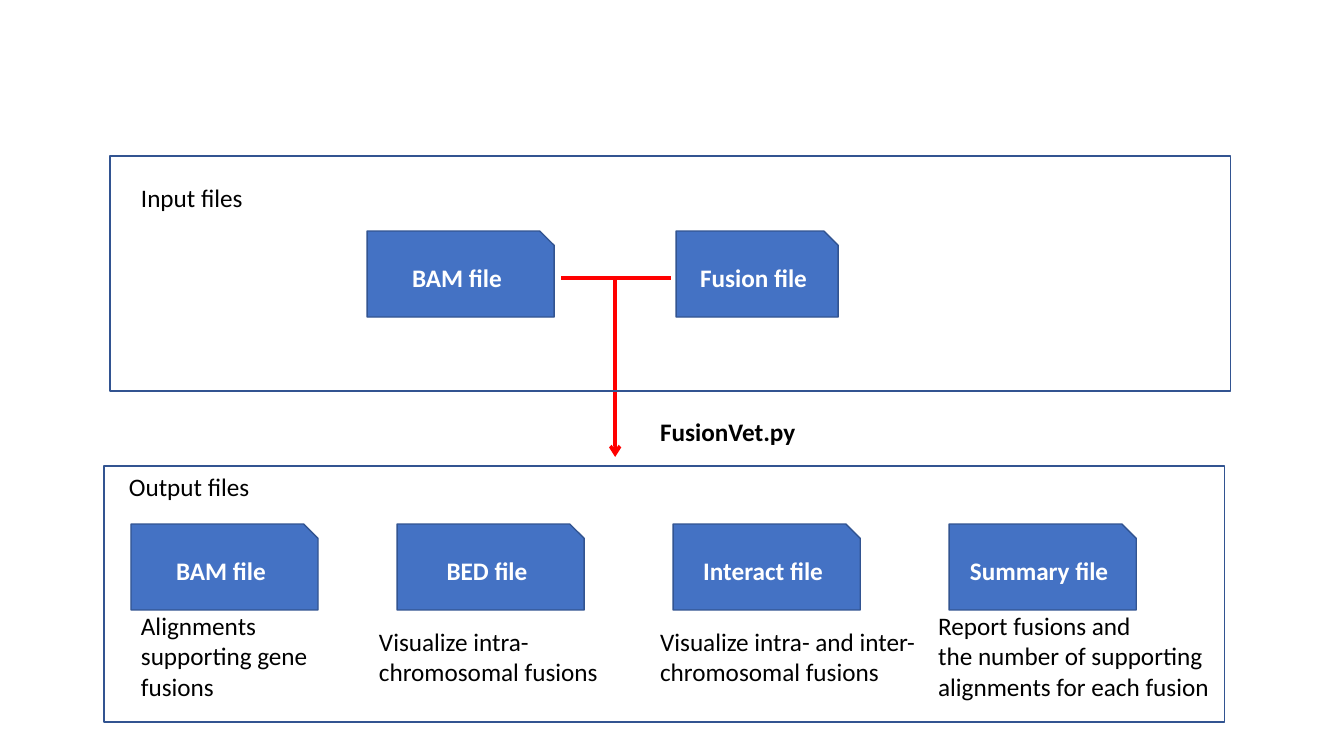
from lxml import etree
from pptx import Presentation
from pptx import util as u
from pptx.dml.color import RGBColor
from pptx.enum import shapes, text
from pptx.oxml.ns import qn

COLORS = {"file": "4472C4", "edge": "325491", "flow": "FF0000",
          "light": "FFFFFF", "dark": "000000"}
PX = 914400 / 100.8


def emu(*lengths):
    """Turn pixel lengths into EMU."""
    return [u.Emu(round(n * PX)) for n in lengths]


class Diagram:
    """Holds the style and the current slide."""

    def __init__(self, s, font="Calibri", size=18):
        """Keep the slide and its text style."""
        self.s, self.font, self.size = s, font, size

    def set_text(self, tf, lines, color, bold=False, align=text.PP_ALIGN.LEFT):
        """Fill a text frame with one paragraph per line."""
        for i, line in enumerate(lines):
            p = tf.add_paragraph() if i else tf.paragraphs[0]
            p.text, p.alignment = line, align
            p.font.name, p.font.size, p.font.bold = self.font, u.Pt(self.size), bold
            p.font.color.rgb = RGBColor.from_string(COLORS[color])

    def shape(self, kind, x, y, w, h):
        """Add an outlined shape without shadow."""
        sp = self.s.shapes.add_shape(kind, *emu(x, y, w, h))
        sp.shadow.inherit = False
        sp.line.color.rgb = RGBColor.from_string(COLORS["edge"])
        sp.line.width = u.Pt(1)
        return sp

    def file(self, name, x, y, w=187, h=86):
        """Add a file card with a snipped corner."""
        sp = self.shape(shapes.MSO_SHAPE.SNIP_1_RECTANGLE, x, y, w, h)
        sp.fill.solid()
        sp.fill.fore_color.rgb = RGBColor.from_string(COLORS["file"])
        sp.text_frame.word_wrap = True
        sp.text_frame.vertical_anchor = text.MSO_ANCHOR.MIDDLE
        self.set_text(sp.text_frame, [name], "light", True, text.PP_ALIGN.CENTER)

    def frame(self, x, y, w, h):
        """Add an unfilled group frame."""
        self.shape(shapes.MSO_SHAPE.RECTANGLE, x, y, w, h).fill.background()

    def label(self, lines, x, y, w, bold=False):
        """Add a text box as tall as its lines."""
        tf = self.s.shapes.add_textbox(*emu(x, y, w, 9 + 31 * len(lines))).text_frame
        tf.word_wrap = False
        tf.auto_size = text.MSO_AUTO_SIZE.SHAPE_TO_FIT_TEXT
        self.set_text(tf, lines, "dark", bold)

    def line(self, x1, y1, x2, y2, arrow=False):
        """Add a flow line, with an arrowhead if asked."""
        c = self.s.shapes.add_connector(shapes.MSO_CONNECTOR.STRAIGHT, *emu(x1, y1, x2, y2))
        c.line.color.rgb = RGBColor.from_string(COLORS["flow"])
        c.line.width = u.Pt(2.5)
        sp_pr = c.element.spPr
        if arrow:
            etree.SubElement(sp_pr.find(qn("a:ln")), qn("a:tailEnd"), type="arrow")
        etree.SubElement(sp_pr, qn("a:effectLst"))


prs = Presentation()
prs.slide_width, prs.slide_height = u.Inches(13.33), u.Inches(7.5)
d = Diagram(prs.slides.add_slide(prs.slide_layouts[6]))

d.file("BAM file", 367, 231)
d.file("Fusion file", 676, 231, 162)
d.line(561, 278, 671, 278)
d.line(615, 278, 615, 457, arrow=True)

outputs = [
    ("BAM file", 131, 131, 190, ["Alignments ", "supporting gene", "fusions"]),
    ("BED file", 397, 369, 244, ["Visualize intra-", "chromosomal fusions"]),
    ("Interact file", 673, 650, 278, ["Visualize intra- and inter-", "chromosomal fusions"]),
    ("Summary file", 949, 928, 296,
     ["Report fusions and ", "the number of supporting", "alignments for each fusion"]),
]
for name, file_x, note_x, note_w, note in outputs:
    d.file(name, file_x, 524)
    d.label(note, note_x, 652 - 31 * len(note) / 2, note_w)

d.frame(110, 156, 1120, 235)
d.frame(104, 466, 1120, 256)
d.label(["FusionVet.py"], 650, 411, 156, bold=True)
d.label(["Input files"], 131, 177, 123)
d.label(["Output files"], 119, 466, 142)

prs.save("out.pptx")
